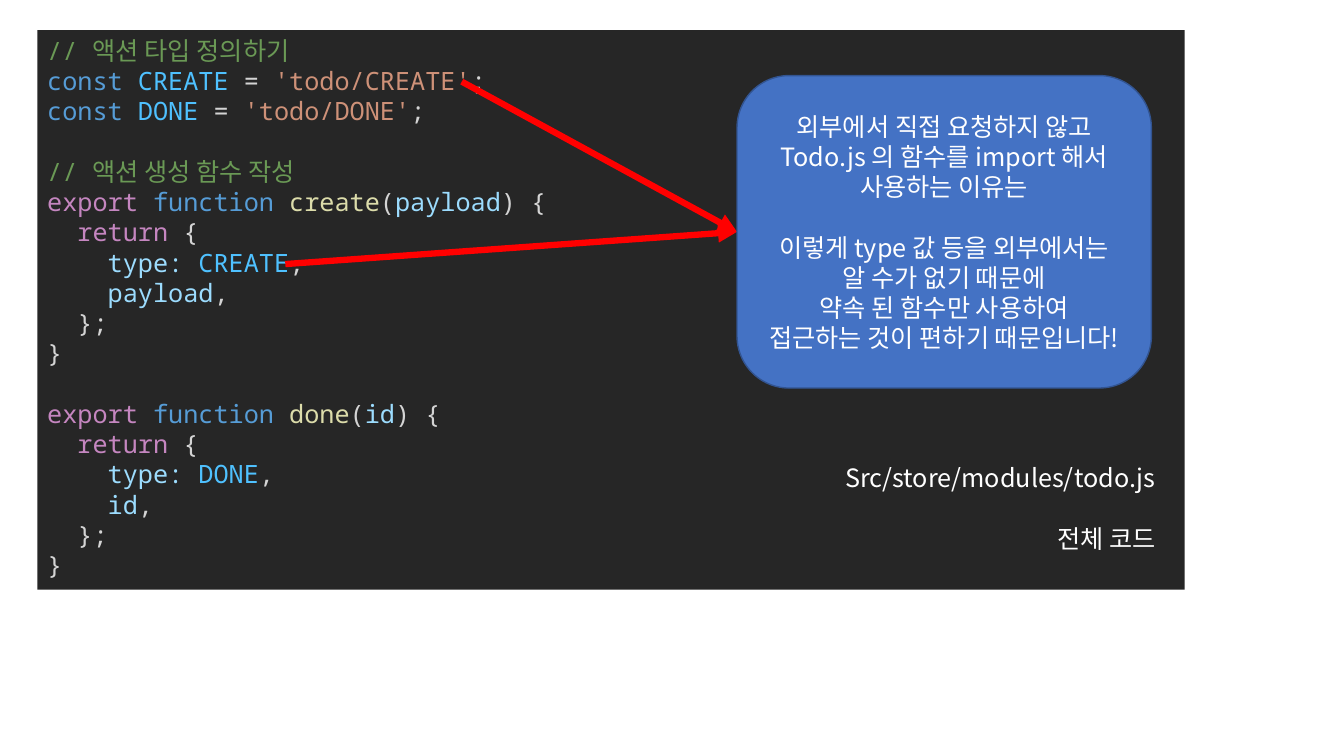
"""Build a slide that explains why a todo store exports action functions."""
from pptx import Presentation
from pptx.dml.color import RGBColor
from pptx.enum.dml import MSO_LINE
from pptx.enum.shapes import MSO_CONNECTOR as LINE, MSO_SHAPE as SHAPE
from pptx.enum.text import MSO_ANCHOR as ANCHOR, PP_ALIGN as ALIGN
from pptx.oxml import parse_xml
from pptx.oxml.ns import nsdecls
from pptx.util import Inches, Pt

COLORS = {
    "panel": "262626", "bubble": "4472C4", "edge": "325491", "arrow": "FF0000",
    "white": "FFFFFF", "comment": "6A9955", "keyword": "569CD6", "const": "4FC1FF",
    "plain": "D4D4D4", "string": "CE9178", "control": "C586C0", "func": "DCDCAA",
    "var": "9CDCFE",
}
MONO, SANS = "Noto Sans Mono", "Noto Sans CJK KR"
SIZE, LEADING = Pt(18), Pt(21.6)


def constant(name, value):
    """Return the code line that defines an action type."""
    return [("const ", "keyword"), (name, "const"), (" = ", "plain"),
            (value, "string"), (";", "plain")]


def creator(name, arg, action):
    """Return the code lines of one action creator."""
    return [
        [("export ", "control"), ("function ", "keyword"), (name, "func"),
         ("(", "plain"), (arg, "var"), (") {", "plain")],
        [("  ", "plain"), ("return", "control"), (" {", "plain")],
        [("    ", "plain"), ("type: ", "var"), (action, "const"), (",", "plain")],
        [("    ", "plain"), (arg, "var"), (",", "plain")],
        [("  };", "plain")],
        [("}", "plain")],
    ]


CODE = [
    [[("// 액션 타입 정의하기", "comment")],
     constant("CREATE", "'todo/CREATE'"),
     constant("DONE", "'todo/DONE'")],
    [[("// 액션 생성 함수 작성", "comment")], *creator("create", "payload", "CREATE")],
    creator("done", "id", "DONE"),
]
CAPTION = [["Src/store/modules/todo.js"], ["전체 코드"]]
REASON = [
    ["외부에서 직접 요청하지 않고", "Todo.js 의 함수를 import 해서", "사용하는 이유는"],
    ["이렇게 type 값 등을 외부에서는", "알 수가 없기 때문에",
     "약속 된 함수만 사용하여", "접근하는 것이 편하기 때문입니다!"],
]
PANEL_BOX = (0.37, 0.3, 11.38, 5.55)
CAPTION_BOX = (8.19, 4.54, 3.37, 1.01)
BUBBLE_BOX = (7.31, 0.75, 4.11, 3.1)
ARROW_STARTS = [(4.58, 0.81), (2.83, 2.62)]


def rgb(name):
    """Return the named colour."""
    return RGBColor.from_string(COLORS[name])


def white(groups):
    """Turn groups of plain lines into groups of white runs."""
    return [[[(line, "white")] for line in group] for group in groups]


def write(tf, groups, font, align):
    """Write groups of coloured lines, one line apart."""
    tf.word_wrap = True
    p = None
    for group in groups:
        for i, line in enumerate(group):
            first = p is None
            p = tf.paragraphs[0] if first else tf.add_paragraph()
            p.alignment, p.line_spacing = align, LEADING
            if i == 0 and not first:
                p.space_before = LEADING
            for text, color in line:
                r = p.add_run()
                r.text = text
                r.font.name, r.font.size = font, SIZE
                r.font.color.rgb = rgb(color)
                r.font._element.append(
                    parse_xml(f'<a:ea {nsdecls("a")} typeface="{SANS}"/>'))


def add_box(s, kind, box, fill):
    """Add a filled shape without a shadow."""
    sp = s.shapes.add_shape(kind, *map(Inches, box))
    sp.shadow.inherit = False
    sp.fill.solid()
    sp.fill.fore_color.rgb = rgb(fill)
    return sp


def add_arrow(s, start, end):
    """Add a thick red arrow."""
    c = s.shapes.add_connector(LINE.STRAIGHT, *map(Inches, start + end))
    c.line.color.rgb = rgb("arrow")
    c.line.width = Pt(4.5)
    c.line.dash_style = MSO_LINE.SOLID
    c.line._ln.append(parse_xml(f'<a:tailEnd {nsdecls("a")} type="triangle"/>'))
    c._element.spPr.append(parse_xml(f'<a:effectLst {nsdecls("a")}/>'))
    return c


def main():
    """Build and save the slide."""
    prs = Presentation()
    prs.slide_width, prs.slide_height = Inches(13.33), Inches(7.5)
    s = prs.slides.add_slide(prs.slide_layouts[6])

    panel = add_box(s, SHAPE.RECTANGLE, PANEL_BOX, "panel")
    panel.line.fill.background()
    panel.text_frame.vertical_anchor = ANCHOR.TOP
    write(panel.text_frame, CODE, MONO, ALIGN.LEFT)

    caption = s.shapes.add_textbox(*map(Inches, CAPTION_BOX))
    write(caption.text_frame, white(CAPTION), SANS, ALIGN.RIGHT)

    left, top, _, height = BUBBLE_BOX
    tip = (left, top + height / 2)
    arrows = [add_arrow(s, start, tip) for start in ARROW_STARTS]

    bubble = add_box(s, SHAPE.ROUNDED_RECTANGLE, BUBBLE_BOX, "bubble")
    bubble.line.color.rgb = rgb("edge")
    bubble.line.width = Pt(1)
    bubble.text_frame.vertical_anchor = ANCHOR.MIDDLE
    write(bubble.text_frame, white(REASON), SANS, ALIGN.CENTER)
    for arrow in arrows:
        arrow.end_connect(bubble, 1)

    prs.save("out.pptx")


if __name__ == "__main__":
    main()
